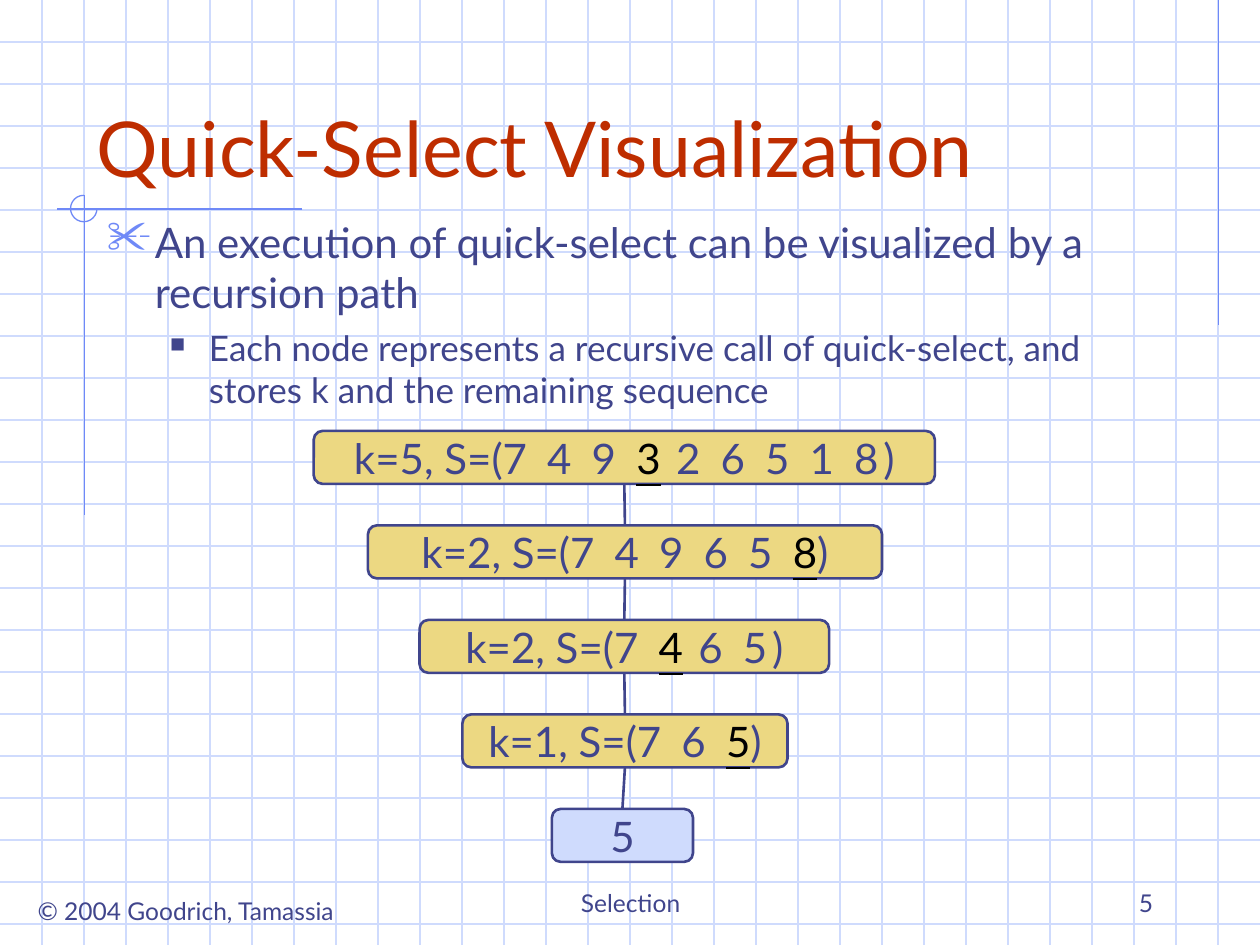
from dataclasses import dataclass
from itertools import pairwise

from lxml import etree
from pptx import Presentation
from pptx import util as u
from pptx.dml.color import RGBColor
from pptx.enum import shapes, text
from pptx.oxml import ns


@dataclass(frozen=True)
class Theme:
    font: str = "Lato"
    ink: str = "40458C"
    title: str = "BE2D00"
    pivot: str = "000000"
    grid: str = "CFDBFD"
    accent: str = "6F89F7"
    call: str = "ECD882"
    result: str = "CFDBFD"
    title_size: int = 44
    body_size: int = 24
    detail_size: int = 20
    footer_size: int = 14
    thin: float = 0.75
    thick: float = 1.5
    gap: int = 270


THEME = Theme()
WIDTH, HEIGHT = 10, 7.5
GRID_STEP = 1 / 3
NODE_TOP, NODE_STEP, NODE_HEIGHT = 3.42, 0.75, 0.42
CALLS = [
    (2.49, 4.93, "k=5, S=(", "7 4 9 ", "3", " 2 6 5 1 8"),
    (2.92, 4.08, "k=2, S=(", "7 4 9 6 5 ", "8", ""),
    (3.33, 3.25, "k=2, S=(", "7 ", "4", " 6 5"),
    (3.67, 2.58, "k=1, S=(", "7 6 ", "5", ""),
]
RESULT = (4.38, 1.12, "5")


def style(span, size, color=THEME.ink):
    span.font.name = THEME.font
    span.font.size = u.Pt(size)
    span.font.color.rgb = RGBColor.from_string(color)


def set_line(shape, color, width):
    shape.line.color.rgb = RGBColor.from_string(color)
    shape.line.width = u.Pt(width)


def add_line(page, start, end, color, width=THEME.thin):
    line = page.shapes.add_connector(
        shapes.MSO_CONNECTOR.STRAIGHT, *map(u.Inches, start + end))
    set_line(line, color, width)
    etree.SubElement(line._element.spPr, ns.qn("a:effectLst"))
    return line


def add_grid(page):
    for row in range(1, int(HEIGHT / GRID_STEP) + 1):
        add_line(page, (0, row * GRID_STEP), (WIDTH, row * GRID_STEP), THEME.grid)
    for column in range(1, int(WIDTH / GRID_STEP)):
        add_line(page, (column * GRID_STEP, 0), (column * GRID_STEP, HEIGHT), THEME.grid)


def add_ornament(page):
    add_line(page, (9.67, 0), (9.67, 2.58), THEME.accent)
    add_line(page, (2.4, 1.66), (0.45, 1.66), THEME.accent)
    add_line(page, (0.67, 1.55), (0.67, 4.09), THEME.accent)
    arc = page.shapes.add_shape(
        shapes.MSO_SHAPE.ARC, *map(u.Inches, (0.56, 1.55, 0.21, 0.21)))
    arc.adjustments[0] = 0
    arc.adjustments[1] = 162
    arc.shadow.inherit = False
    arc.fill.background()
    set_line(arc, THEME.accent, THEME.thin)


def add_text(page, place, words, size, color=THEME.ink,
             align=text.PP_ALIGN.LEFT, anchor=text.MSO_ANCHOR.BOTTOM, wrap=True):
    box = page.shapes.add_textbox(*map(u.Inches, place))
    frame = box.text_frame
    frame.word_wrap = wrap
    frame.vertical_anchor = anchor
    frame.text = words
    para = frame.paragraphs[0]
    para.alignment = align
    style(para.runs[0], size, color)
    return box


def add_bullet(para, symbol, color, percent, margin, hang):
    props = para._p.get_or_add_pPr()
    props.set("marL", str(u.Inches(margin)))
    props.set("indent", str(-u.Inches(hang)))
    paint = etree.SubElement(props, ns.qn("a:buClr"))
    etree.SubElement(paint, ns.qn("a:srgbClr"), val=color)
    etree.SubElement(props, ns.qn("a:buSzPct"), val=str(percent * 1000))
    etree.SubElement(props, ns.qn("a:buChar"), char=symbol)


def add_body(page):
    box = add_text(
        page, (0.75, 1.67, 8.58, 2.17),
        "An execution of quick-select can be visualized by a recursion path",
        THEME.body_size, anchor=text.MSO_ANCHOR.TOP)
    point = box.text_frame.paragraphs[0]
    add_bullet(point, "✂", THEME.accent, 110, 0.38, 0.38)
    detail = box.text_frame.add_paragraph()
    detail.text = ("Each node represents a recursive call of quick-select, "
                   "and stores k and the remaining sequence")
    detail.level = 1
    add_bullet(detail, "■", THEME.ink, 60, 0.81, 0.31)
    detail.space_before = u.Pt(5)
    style(detail.runs[0], THEME.detail_size)


def add_span(para, words, color=THEME.ink, spacing=0):
    span = para.add_run()
    span.text = words
    style(span, THEME.body_size, color)
    if spacing:
        span.font._element.set("spc", str(spacing))
    return span


def add_node(page, row, left, width, fill):
    node = page.shapes.add_shape(
        shapes.MSO_SHAPE.ROUNDED_RECTANGLE, u.Inches(left),
        u.Inches(NODE_TOP + row * NODE_STEP), u.Inches(width), u.Inches(NODE_HEIGHT))
    node.shadow.inherit = False
    node.fill.solid()
    node.fill.fore_color.rgb = RGBColor.from_string(fill)
    set_line(node, THEME.ink, THEME.thick)
    node.text_frame.word_wrap = False
    node.text_frame.vertical_anchor = text.MSO_ANCHOR.MIDDLE
    node.text_frame.paragraphs[0].alignment = text.PP_ALIGN.CENTER
    return node


def add_call(page, row, left, width, head, before, pivot, after):
    node = add_node(page, row, left, width, THEME.call)
    para = node.text_frame.paragraphs[0]
    add_span(para, head)
    add_span(para, before, spacing=THEME.gap)
    add_span(para, pivot, THEME.pivot).font.underline = True
    if after:
        add_span(para, after, spacing=THEME.gap)
    add_span(para, ")")
    return node


def add_recursion_path(page):
    nodes = [add_call(page, row, *call) for row, call in enumerate(CALLS)]
    left, width, answer = RESULT
    result = add_node(page, len(CALLS), left, width, THEME.result)
    add_span(result.text_frame.paragraphs[0], answer)
    for upper, lower in pairwise(nodes + [result]):
        link = add_line(page, (0, 0), (0, 0), THEME.ink, THEME.thick)
        link.begin_connect(upper, 2)
        link.end_connect(lower, 0)


def main():
    deck = Presentation()
    deck.slide_width, deck.slide_height = u.Inches(WIDTH), u.Inches(HEIGHT)
    page = deck.slides.add_slide(deck.slide_layouts[6])
    add_grid(page)
    add_ornament(page)
    add_text(page, (0.12, 7.06, 2.71, 0.34), "© 2004 Goodrich, Tamassia",
             THEME.footer_size, align=text.PP_ALIGN.CENTER,
             anchor=text.MSO_ANCHOR.TOP, wrap=False)
    add_text(page, (3.42, 6.83, 3.17, 0.5), "Selection",
             THEME.footer_size, align=text.PP_ALIGN.CENTER)
    add_text(page, (7.17, 6.83, 2.08, 0.5), "5",
             THEME.footer_size, align=text.PP_ALIGN.RIGHT)
    add_text(page, (0.67, 0.33, 8.5, 1.25), "Quick-Select Visualization",
             THEME.title_size, THEME.title)
    add_body(page)
    add_recursion_path(page)
    deck.save("out.pptx")


if __name__ == "__main__":
    main()
